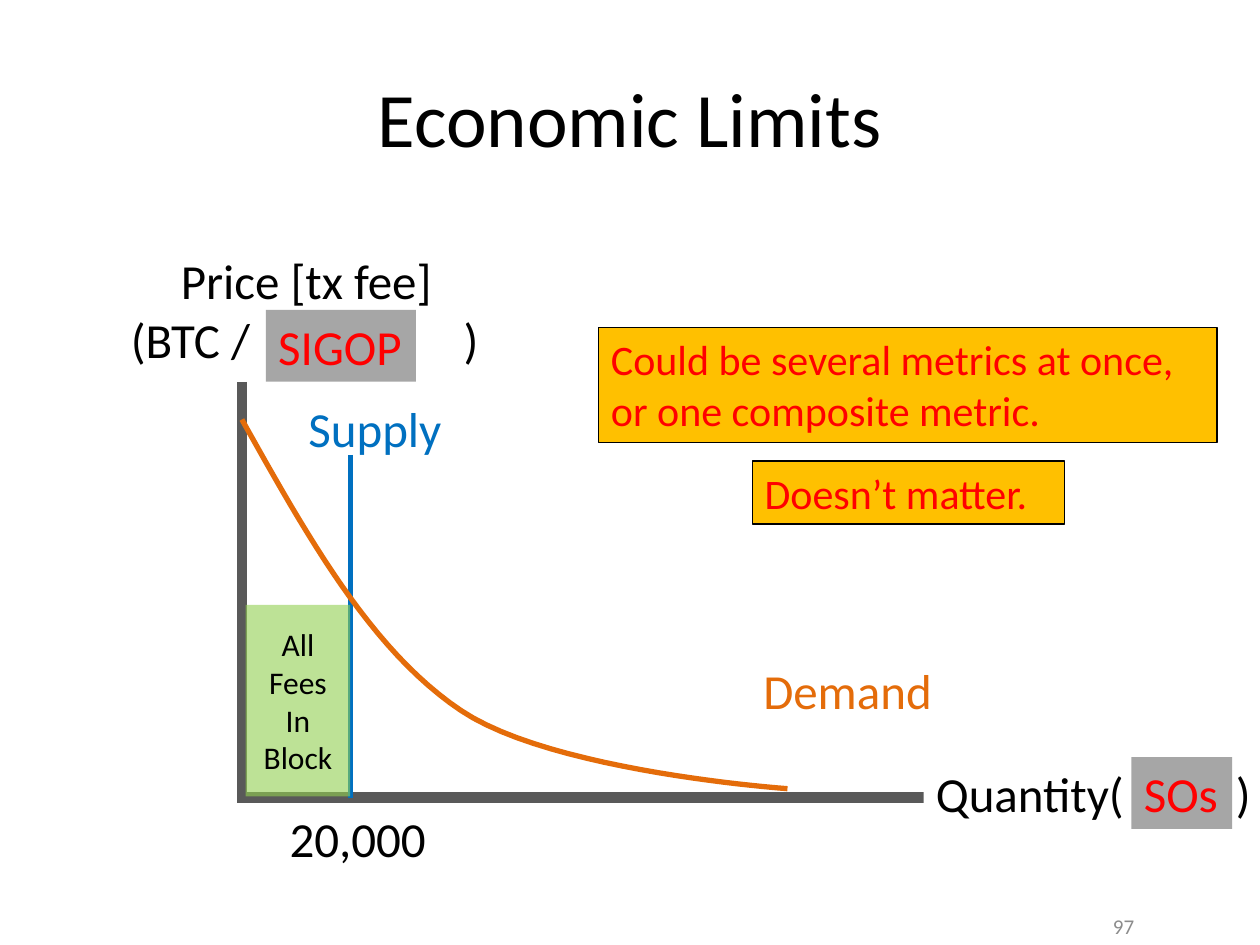
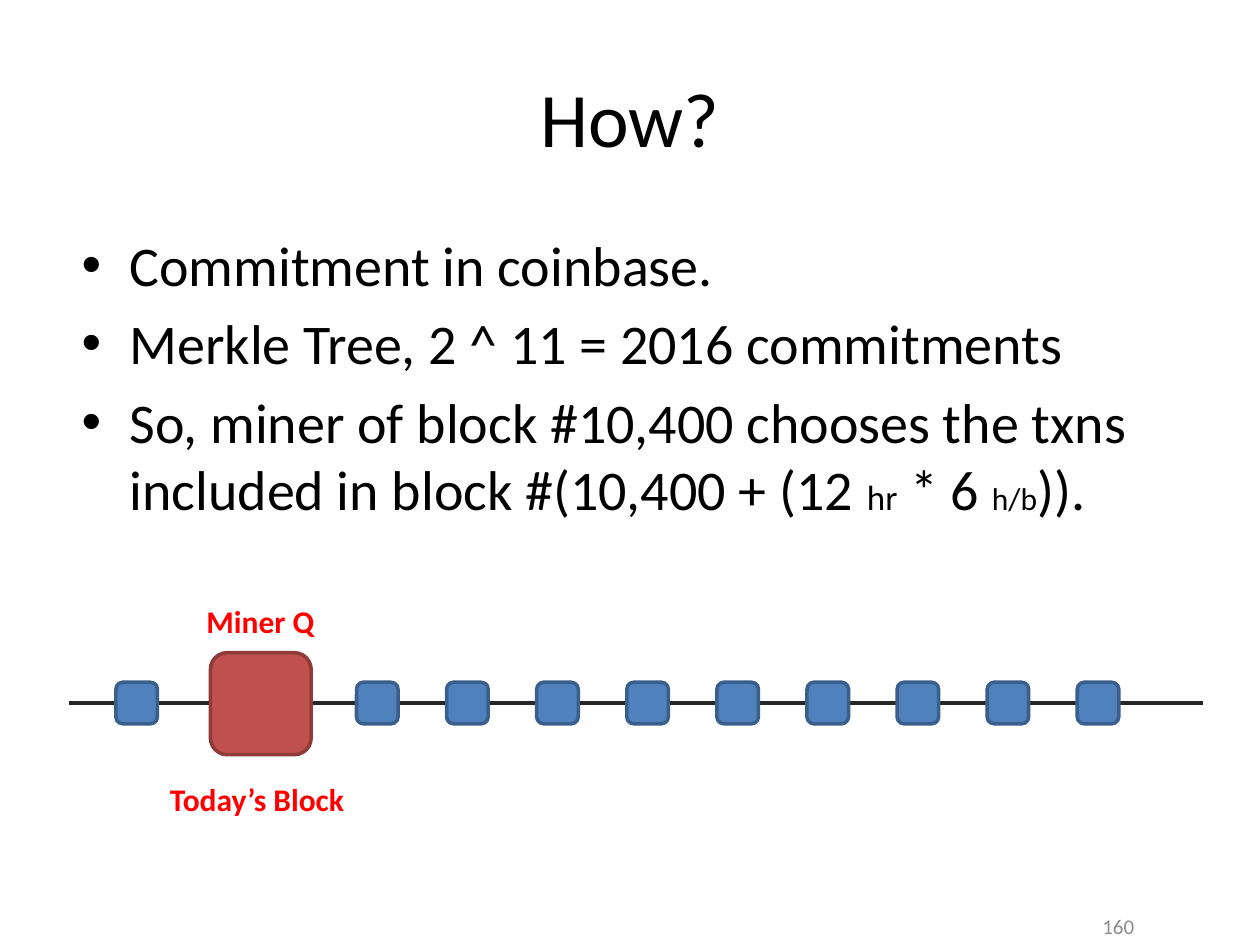
from collections import namedtuple

from lxml import etree
from pptx import Presentation
from pptx import util as u
from pptx.dml import color
from pptx.enum import shapes, text
from pptx.oxml import ns

COLORS = {
    "ink": "000000", "paper": "FFFFFF", "axis": "595959", "chain": "262626",
    "supply": "0070C0", "demand": "E46C0A", "fees": "92D050", "unit": "A6A6A6",
    "callout": "FFC000", "alert": "FF0000", "number": "8C8C8C",
    "block": "4F81BD", "block_edge": "3A5F8C",
    "today": "C0504D", "today_edge": "8E3B39",
}
FONT = "Calibri"
COLS, ROWS = 40, 30
W, H = u.Inches(10), u.Inches(7.5)
COL, ROW = W / COLS, H / ROWS
LABEL_H = 2.28  # rows taken by one line of 28 pt

RECT = shapes.MSO_SHAPE.RECTANGLE
ROUND = shapes.MSO_SHAPE.ROUNDED_RECTANGLE
LEFT, CENTER, RIGHT = (text.PP_ALIGN.LEFT, text.PP_ALIGN.CENTER,
                       text.PP_ALIGN.RIGHT)
MIDDLE = text.MSO_ANCHOR.MIDDLE

# All boxes are in grid columns and rows
Box = namedtuple("Box", "x y w h")
TITLE = Box(2, 1.2, 36, 5)
NUMBER = Box(27.08, 28.6, 9.32, 1.6)
BODY = Box(2.2, 7.12, 36, 19.8)
GRAPH = Box(7.68, 12.12, 22.32, 13.2)
CALLOUTS = Box(19, 10.4, 19.64, 6.24)
CHAIN = Box(2.2, 18.92, 36, 7.24)


def rgb(name):
    return color.RGBColor.from_string(COLORS[name])


def within(box, x, y, w, h):
    return Box(box.x + x, box.y + y, w, h)


def emu(box):
    return (round(box.x * COL), round(box.y * ROW),
            round(box.w * COL), round(box.h * ROW))


def add_run(p, words, size, ink="ink", bold=False):
    r = p.add_run()
    r.text = words
    r.font.name, r.font.size, r.font.bold = FONT, u.Pt(size), bold
    r.font.color.rgb = rgb(ink)


def fill_text(sp, lines, size, ink="ink", align=LEFT, anchor=text.MSO_ANCHOR.TOP,
              bold=False, wrap=True):
    tf = sp.text_frame
    tf.word_wrap, tf.vertical_anchor = wrap, anchor
    for i, line in enumerate(lines):
        p = tf.add_paragraph() if i else tf.paragraphs[0]
        p.alignment = align
        add_run(p, line, size, ink, bold)
    return tf


def add_text(s, box, lines, size, **style):
    return fill_text(s.shapes.add_textbox(*emu(box)), lines, size, **style)


def add_label(s, box, words, ink="ink", size=28, bold=False):
    add_text(s, box, [words], size, ink=ink, bold=bold, wrap=False)


def add_panel(s, box, fill, kind=RECT, edge=None, width=0.75):
    sp = s.shapes.add_shape(kind, *emu(box))
    sp.shadow.inherit = False
    sp.fill.solid()
    sp.fill.fore_color.rgb = rgb(fill)
    if edge:
        sp.line.color.rgb = rgb(edge)
        sp.line.width = u.Pt(width)
    else:
        sp.line.fill.background()
    return sp


def add_line(s, box, start, end, ink, width):
    (x1, y1), (x2, y2) = start, end
    ends = emu(Box(box.x + x1, box.y + y1, box.x + x2, box.y + y2))
    c = s.shapes.add_connector(shapes.MSO_CONNECTOR.STRAIGHT, *ends)
    c.line.color.rgb = rgb(ink)
    c.line.width = u.Pt(width)
    etree.SubElement(c._element.spPr, ns.qn("a:effectLst"))


def add_curve(s, box, start, segments, ink, width, steps=24):
    """Draw joined cubic curves, each given by two controls and an end."""
    points = []
    for c1, c2, end in segments:
        for i in range(1, steps + 1):
            t = i / steps
            weights = ((1 - t) ** 3, 3 * t * (1 - t) ** 2,
                       3 * t ** 2 * (1 - t), t ** 3)
            points.append([sum(k * q[axis] for k, q in
                               zip(weights, (start, c1, c2, end)))
                           for axis in (0, 1)])
        if len(points) == steps:
            first = start
        start = end

    def place(point):
        return emu(Box(box.x + point[0], box.y + point[1], 0, 0))[:2]

    builder = s.shapes.build_freeform(*place(first))
    builder.add_line_segments([place(q) for q in points], close=False)
    sp = builder.convert_to_shape()
    sp.shadow.inherit = False
    sp.fill.background()
    sp.line.color.rgb = rgb(ink)
    sp.line.width = u.Pt(width)


def add_tab(p, inches):
    tabs = etree.SubElement(p._p.get_or_add_pPr(), ns.qn("a:tabLst"))
    etree.SubElement(tabs, ns.qn("a:tab"), pos=str(u.Inches(inches)), algn="l")


def add_bullet(p, inches):
    pPr = p._p.get_or_add_pPr()
    pPr.set("marL", str(u.Inches(inches)))
    pPr.set("indent", str(-u.Inches(inches)))
    etree.SubElement(pPr, ns.qn("a:buFont"), typeface="Arial")
    etree.SubElement(pPr, ns.qn("a:buChar"), char="•")


def new_slide(prs, title, number):
    s = prs.slides.add_slide(prs.slide_layouts[6])
    add_text(s, TITLE, [title], 44, align=CENTER, anchor=MIDDLE)
    add_text(s, NUMBER, [number], 12, ink="number", align=RIGHT, anchor=MIDDLE)
    return s


def supply_demand_graph(s, box):
    supply_x = 3.44

    # Quantity axis and supply line
    add_line(s, box, (box.w, box.h), (0, box.h), "axis", 6)
    add_line(s, box, (supply_x, 2.32), (supply_x, box.h), "supply", 3)

    # Axis titles, with a tab leaving room for the unit
    tf = add_text(s, within(box, -3.92, -4.36, 11.92, 4.16),
                  ["Price [tx fee]", "(BTC /\t)"], 28)
    tf.paragraphs[0].alignment = CENTER
    add_tab(tf.paragraphs[1], 2.64)
    sp = add_panel(s, within(box, 21.64, 11.92, 10.92, LABEL_H), "paper")
    tf = fill_text(sp, ["Quantity(\t)"], 28)
    add_tab(tf.paragraphs[0], 2.38)
    add_label(s, within(box, 1.12, 13.36, 5.2, LABEL_H), "20,000")

    # Price axis and demand curve
    add_line(s, box, (0, 0), (0, box.h + 0.16), "axis", 6)
    add_label(s, within(box, 1.72, 0.32, 5.08, LABEL_H), "Supply", "supply")
    add_curve(s, box, (0, 1.2),
              [((2.04, 4.84), (4.08, 8.52), (6.96, 10.44)),
               ((9.88, 12.4), (17.32, 12.92), (17.32, 12.92))], "demand", 3)
    add_label(s, within(box, 16.16, 8.64, 6.2, LABEL_H), "Demand", "demand")

    # Fees area, 60 % opaque
    sp = add_panel(s, within(box, 0.12, 7.08, supply_x - 0.12, 6.08), "fees")
    tint = sp.fill._xPr.find(ns.qn("a:solidFill"))[0]
    etree.SubElement(tint, ns.qn("a:alpha"), val="60000")
    fill_text(sp, ["All Fees", "In Block"], 18, align=CENTER, anchor=MIDDLE)

    # Units of both axes
    for unit, x, y, w in (("SOs", 28.24, 11.92, 3.2),
                          ("SIGOP", 0.76, -LABEL_H, 4.76)):
        sp = add_panel(s, within(box, x, y, w, LABEL_H), "unit")
        fill_text(sp, [unit], 28, ink="alert", wrap=False)


def callouts(s, box):
    for words, part in (
            ("Could be several metrics at once, or one composite metric.",
             within(box, 0, 0, box.w, 3.64)),
            ("Doesn’t matter.", within(box, 4.88, 4.24, 9.92, 2))):
        sp = add_panel(s, part, "callout", edge="ink")
        fill_text(sp, [words], 24, ink="alert")


def bullet_list(s, box, items):
    tf = s.shapes.add_textbox(*emu(box)).text_frame
    tf.word_wrap = True
    for i, runs in enumerate(items):
        p = tf.add_paragraph() if i else tf.paragraphs[0]
        add_bullet(p, 0.38)
        p.space_before = u.Pt(6.4 if i else 0)
        for words, size in runs:
            add_run(p, words, size)


def block_chain(s, box):
    size, line_y = 1.32, 3.4
    add_line(s, box, (0, line_y), (box.w, line_y), "chain", 2.25)

    # One earlier block, then nine later ones at an equal pitch
    for x in [1.48] + [9.12 + 2.86 * i for i in range(9)]:
        add_panel(s, within(box, x, line_y - size / 2, size, size), "block",
                  ROUND, "block_edge", 2)

    # Today's block and its labels
    add_panel(s, within(box, 4.48, 1.8, 3.2, 3.24), "today", ROUND,
              "today_edge", 2)
    for words, x, y, w in (("Today’s Block", 2.8, 5.64, 6.36),
                           ("Miner Q", 3.96, 0, 4.28)):
        add_label(s, within(box, x, y, w, 1.6), words, "alert", 18, True)


def main():
    prs = Presentation()
    prs.slide_width, prs.slide_height = W, H

    s = new_slide(prs, "Economic Limits", "97")
    supply_demand_graph(s, GRAPH)
    callouts(s, CALLOUTS)

    s = new_slide(prs, "How?", "160")
    bullet_list(s, BODY, [
        [("Commitment in coinbase.", 32)],
        [("Merkle Tree, 2 ^ 11 = 2016 commitments", 32)],
        [("So, miner of block #10,400 chooses the txns included in block "
          "#(10,400 + (12 ", 32), ("hr", 20), (" * 6 ", 32), ("h/b", 18),
         (")).", 32)],
    ])
    block_chain(s, CHAIN)

    prs.save("out.pptx")


if __name__ == "__main__":
    main()
